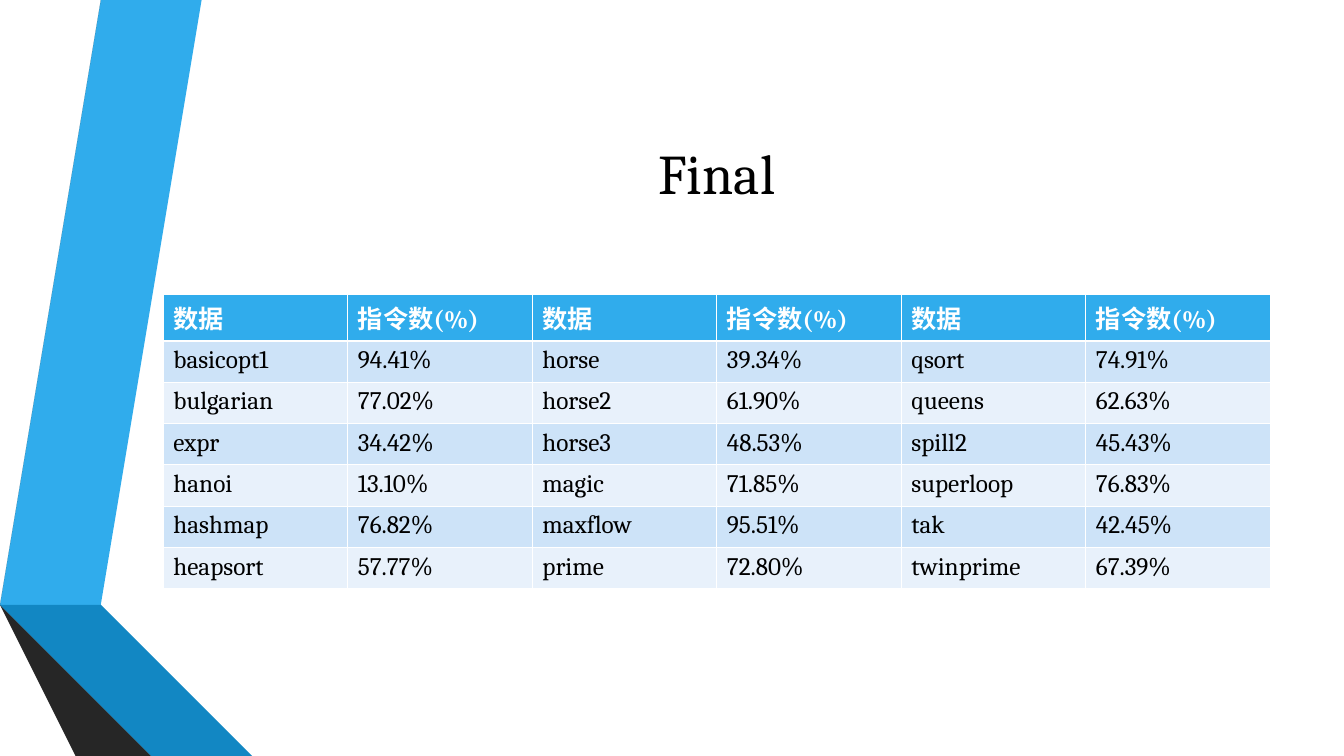
from pptx import Presentation
from pptx.dml.color import RGBColor
from pptx.enum.text import MSO_ANCHOR as Anchor, PP_ALIGN as Align
from pptx.util import Inches, Pt

COLORS = {
    "blue": "30ACEC", "blue_fold": "1287C3", "blue_edge": "0C5A82",
    "gray": "595959", "gray_fold": "404040", "gray_edge": "262626",
    "white": "FFFFFF", "black": "000000",
    "odd_row": "CDE3F8", "even_row": "E8F1FB",
}
FONT = "Cambria"
SLIDE_WIDTH, SLIDE_HEIGHT = 13.33, 7.5

# Content grid: six equal columns and rows of one height
LEFT, COLUMN, ROW = 1.62, 1.83, 0.41
TITLE_TOP, TITLE_HEIGHT, TABLE_TOP = 0.75, 1.92, 2.92

# Ribbon outlines in inches, from back to front
RIBBONS = [
    ("blue", [(0.5, 5.78), (0.77, 5.83), (1.73, 0), (1.45, 0)]),
    ("gray", [(1.39, 0), (1.11, 0), (0.16, 5.73), (0.44, 5.77)]),
    ("gray_edge", [(0.16, 5.73), (1.45, 7.5), (1.51, 7.5)]),
    ("blue_edge", [(0.5, 5.79), (2.08, 7.5), (2.14, 7.5)]),
    ("blue_fold", [(0.5, 5.78), (2.14, 7.5), (2.83, 7.5), (0.77, 5.83)]),
    ("gray_fold", [(2.02, 7.5), (0.48, 5.83), (0.44, 5.77), (0.16, 5.73), (1.51, 7.5)]),
]

HEADER = ["数据", "指令数(%)"] * 3
RESULTS = [
    ["basicopt1", "94.41%", "horse", "39.34%", "qsort", "74.91%"],
    ["bulgarian", "77.02%", "horse2", "61.90%", "queens", "62.63%"],
    ["expr", "34.42%", "horse3", "48.53%", "spill2", "45.43%"],
    ["hanoi", "13.10%", "magic", "71.85%", "superloop", "76.83%"],
    ["hashmap", "76.82%", "maxflow", "95.51%", "tak", "42.45%"],
    ["heapsort", "57.77%", "prime", "72.80%", "twinprime", "67.39%"],
]


def set_fill(target, color):
    target.fill.solid()
    target.fill.fore_color.rgb = RGBColor.from_string(COLORS[color])


def format_font(font, color, **values):
    for name, value in {"name": FONT, **values}.items():
        setattr(font, name, value)
    font.color.rgb = RGBColor.from_string(COLORS[color])


def add_ribbon(slide, color, points):
    builder = slide.shapes.build_freeform(*points[0], scale=Inches(1))
    builder.add_line_segments(points[1:], close=True)
    shape = builder.convert_to_shape()
    shape.shadow.inherit = False
    set_fill(shape, color)
    shape.line.fill.background()


def place_title(slide, text):
    title = slide.shapes.title
    box = {"left": LEFT, "top": TITLE_TOP,
           "width": COLUMN * len(HEADER), "height": TITLE_HEIGHT}
    for name, value in box.items():
        setattr(title, name, Inches(value))
    title.text_frame.text = text
    title.text_frame.vertical_anchor = Anchor.MIDDLE
    paragraph = title.text_frame.paragraphs[0]
    paragraph.alignment = Align.CENTER
    format_font(paragraph.runs[0].font, "black", size=Pt(40))


def add_results_table(slide, rows):
    columns = len(rows[0])
    table = slide.shapes.add_table(
        len(rows), columns, Inches(LEFT), Inches(TABLE_TOP),
        Inches(COLUMN * columns), Inches(ROW * len(rows))).table
    for row_index, values in enumerate(rows):
        is_header = row_index == 0
        band = "blue" if is_header else "odd_row" if row_index % 2 else "even_row"
        for column_index, value in enumerate(values):
            cell = table.cell(row_index, column_index)
            cell.text = value
            set_fill(cell, band)
            format_font(cell.text_frame.paragraphs[0].runs[0].font,
                        "white" if is_header else "black",
                        size=Pt(18), bold=is_header)


def main():
    presentation = Presentation()
    presentation.slide_width = Inches(SLIDE_WIDTH)
    presentation.slide_height = Inches(SLIDE_HEIGHT)
    slide = presentation.slides.add_slide(presentation.slide_layouts[5])

    # Folded ribbons on the left edge
    for color, points in RIBBONS:
        add_ribbon(slide, color, points)

    # Title and results
    place_title(slide, "Final")
    add_results_table(slide, [HEADER] + RESULTS)
    presentation.save("out.pptx")


if __name__ == "__main__":
    main()
